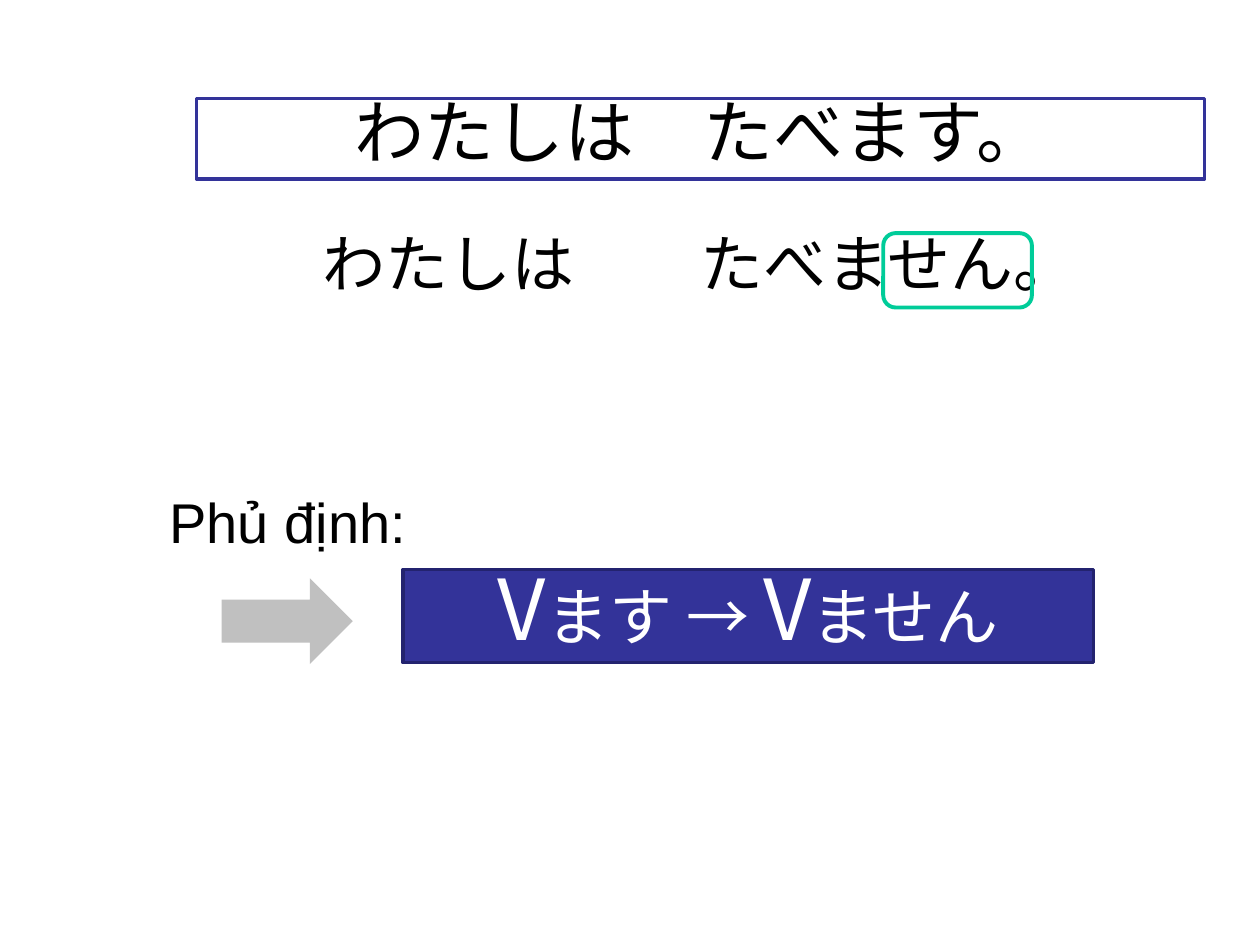
from lxml import etree
from pptx import Presentation, util as u
from pptx.dml.color import RGBColor
from pptx.enum import shapes, text
from pptx.oxml.ns import qn

SLIDE_W, SLIDE_H = u.Inches(10), u.Inches(7.5)
JP, LATIN = "Noto Sans CJK JP", "Arial"
BLACK, WHITE, NAVY, DARK_NAVY = "000000", "FFFFFF", "333399", "23236F"
GREEN, GREY = "00CC99", "C0C0C0"


def color(hex_code):
    return RGBColor.from_string(hex_code)


def place(left, top, width, height):
    """Turn percentages of the slide's size into lengths."""
    return [int(share * side / 100) for share, side in
            zip((left, top, width, height), (SLIDE_W, SLIDE_H) * 2)]


def add_box(s, kind, box, fill=None, line=None, weight=2):
    sp = s.shapes.add_shape(kind, *place(*box))
    sp.shadow.inherit = False
    if fill:
        sp.fill.solid()
        sp.fill.fore_color.rgb = color(fill)
    else:
        sp.fill.background()
    if line:
        sp.line.color.rgb = color(line)
        sp.line.width = u.Pt(weight)
    else:
        sp.line.fill.background()
    return sp


def add_run(p, words, size, font=JP, tracking=0):
    """Add a run; tracking is the extra letter spacing in points."""
    r = p.add_run()
    r.text = words
    r.font.size = u.Pt(size)
    r.font.name = font
    r_pr = r.font._element
    etree.SubElement(r_pr, qn("a:ea")).set("typeface", JP)
    if tracking:
        r_pr.set("spc", str(tracking * 100))


def write(sp, runs, ink=BLACK):
    tf = sp.text_frame
    frame_format = {"word_wrap": True, "vertical_anchor": text.MSO_ANCHOR.TOP,
                    "auto_size": text.MSO_AUTO_SIZE.SHAPE_TO_FIT_TEXT}
    for name, value in frame_format.items():
        setattr(tf, name, value)
    p = tf.paragraphs[0]
    p.alignment = text.PP_ALIGN.CENTER
    p.line_spacing = 0.8
    for run in runs:
        add_run(p, *run)
    for r in p.runs:
        r.font.color.rgb = color(ink)


def add_text(s, box, runs):
    write(s.shapes.add_textbox(*place(*box)), runs)


def main():
    prs = Presentation()
    prs.slide_width, prs.slide_height = SLIDE_W, SLIDE_H
    s = prs.slides.add_slide(prs.slide_layouts[6])
    kinds = shapes.MSO_SHAPE

    affirmative = add_box(s, kinds.RECTANGLE, (15.6, 10.4, 80, 8.53), WHITE, NAVY)
    write(affirmative, [("わたしは　たべます。", 40)])

    add_text(s, (15.5, 24.67, 80, 7.73),
             [("わたしは", 36), ("　", 36, JP, 36), ("たべません。", 36)])
    add_box(s, kinds.ROUNDED_RECTANGLE, (70.1, 24.67, 11.8, 7.87),
            line=GREEN, weight=2.25)

    rule = add_box(s, kinds.RECTANGLE, (32, 60.27, 54.8, 9.87), NAVY, DARK_NAVY)
    write(rule, [("V", 48), ("ます ", 36), ("→ ", 36, LATIN),
                 ("V", 48), ("ません", 36)], WHITE)

    add_text(s, (12, 52.27, 21.7, 7.07), [("Phủ định:", 32, LATIN)])
    add_box(s, kinds.RIGHT_ARROW, (17.6, 61.2, 10.4, 9.07), GREY)

    prs.save("out.pptx")


if __name__ == "__main__":
    main()
